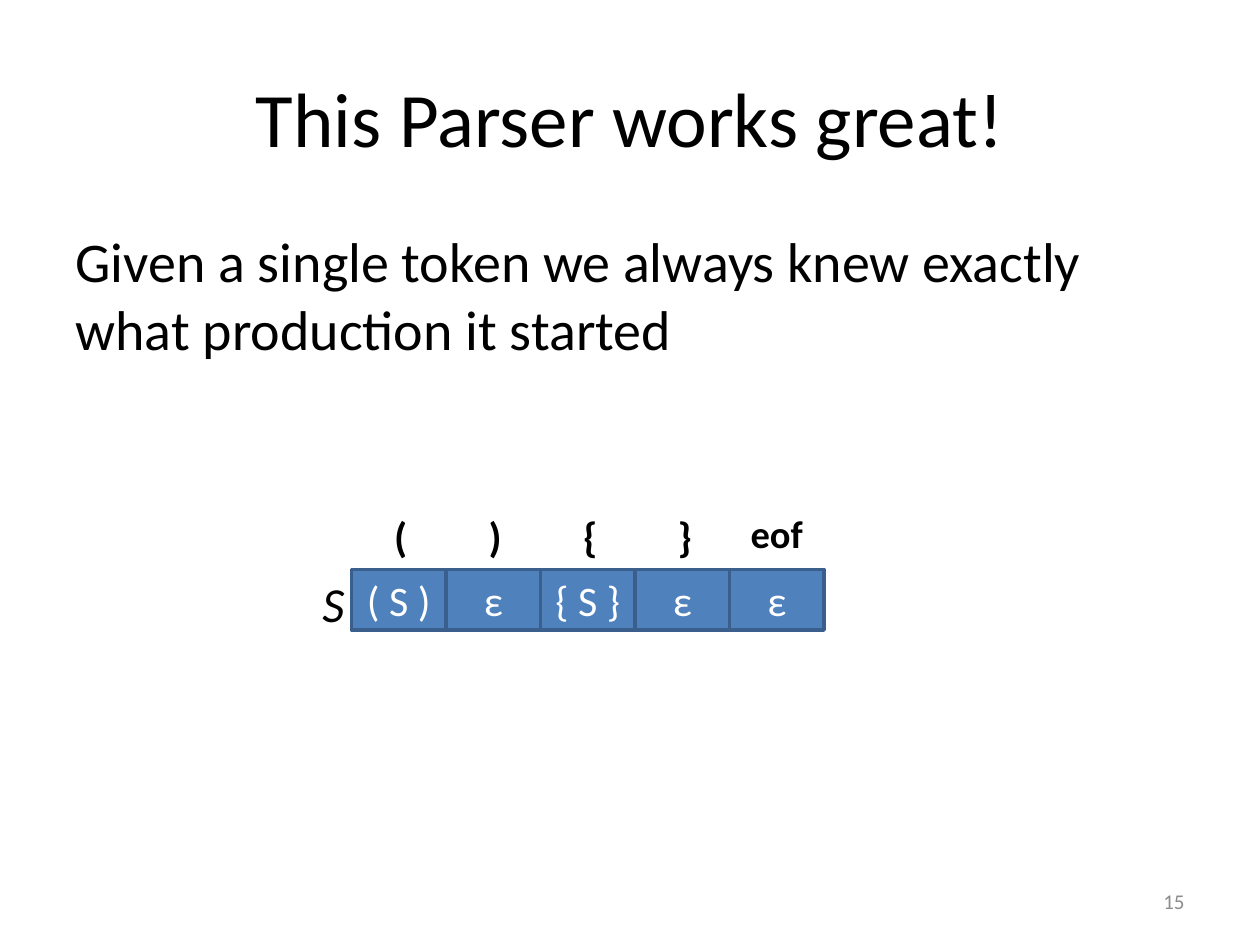
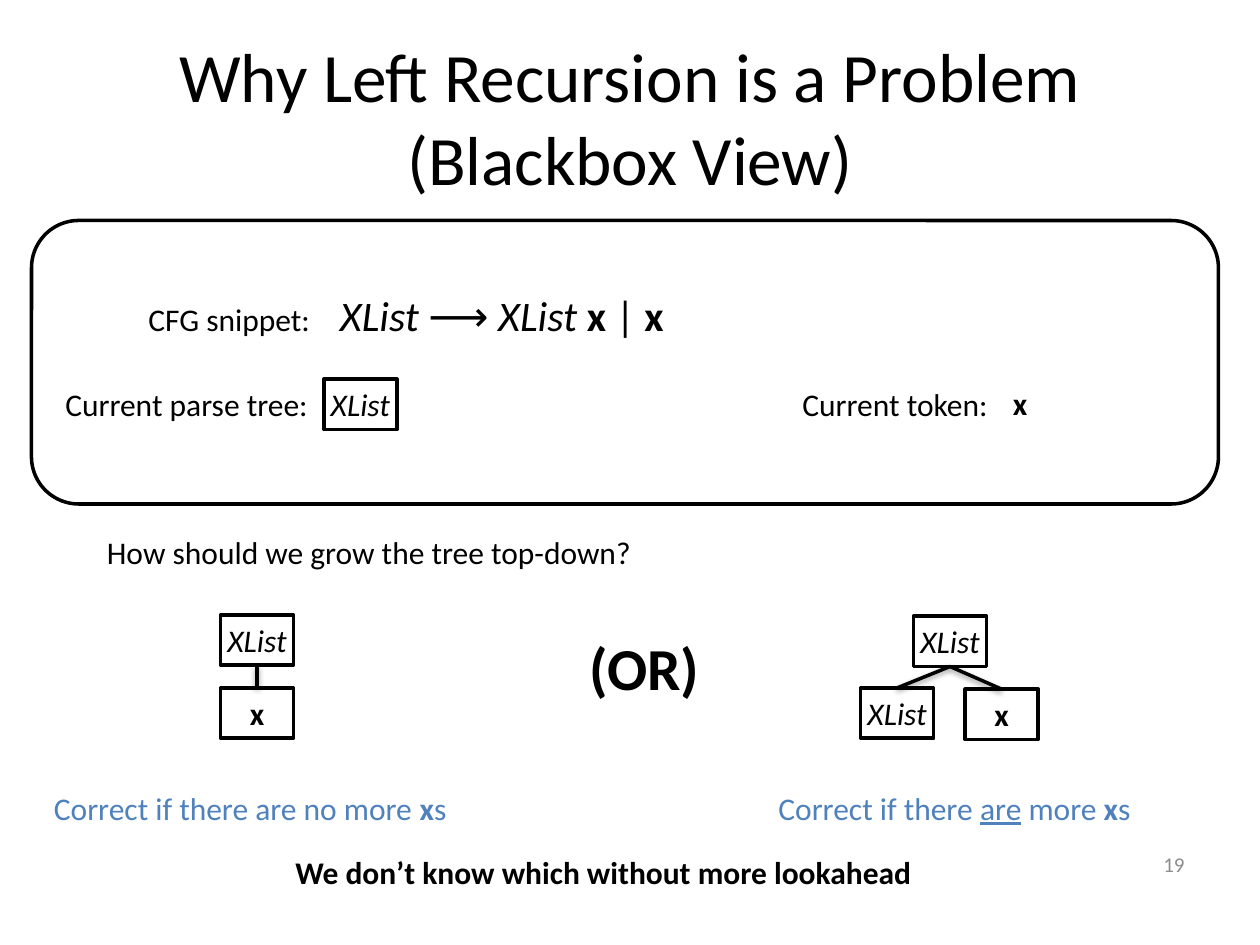
import pptx
import pptx.dml.color
import pptx.enum.shapes
import pptx.enum.text
import pptx.oxml
import pptx.util
from pptx.util import Inches

RGBColor = pptx.dml.color.RGBColor
BLACK = RGBColor(0x00, 0x00, 0x00)
WHITE = RGBColor(0xFF, 0xFF, 0xFF)
GREY = RGBColor(0x8C, 0x8C, 0x8C)
BLUE = RGBColor(0x4F, 0x81, 0xBD)
DARK_BLUE = RGBColor(0x3A, 0x5F, 0x8C)
FONT = "Calibri"

ALIGN = pptx.enum.text.PP_ALIGN
ANCHOR = pptx.enum.text.MSO_ANCHOR
AUTO_SIZE = pptx.enum.text.MSO_AUTO_SIZE
SHAPE = pptx.enum.shapes.MSO_SHAPE
STRAIGHT = pptx.enum.shapes.MSO_CONNECTOR.STRAIGHT
BOTTOM, TOP = 2, 0

WORKS_TITLE = ["This Parser works great!"]
WORKS_CLAIM = "Given a single token we always knew exactly what production it started"
WORKS_NUMBER = "15"
# token, its left edge, width, size, production
PARSE_TABLE = [
    ("(", 3.03, 0.31, 24, "( S )"),
    (")", 3.78, 0.31, 24, "ε"),
    ("{", 4.53, 0.32, 24, "{ S }"),
    ("}", 5.28, 0.32, 24, "ε"),
    ("eof", 5.86, 0.64, 22, "ε"),
]
TABLE_LEFT, TABLE_TOP, CELL_WIDTH, CELL_HEIGHT = 2.79, 4.52, 0.75, 0.48

RECURSION_TITLE = ["Why Left Recursion is a Problem", "(Blackbox View)"]
RECURSION_NUMBER = "19"
STATE_BOX = (0.25, 1.75, 9.42, 2.25)
GRAMMAR = [("XList ", "i"), ("⟶ ", ""), ("XList ", "i"), ("x ", "b"), ("| ", ""), ("x", "b")]
LABELS = [
    ((7.94, 3, 0.33, 0.4), [("x", "b")], 18, BLACK),
    ((0.75, 4.18, 4.42, 0.4), [("How should we grow the tree top-down?", "")], 18, BLACK),
    ((0.42, 3.01, 2.16, 0.4), [("Current parse tree:", "")], 18, BLACK),
    ((6.27, 3.01, 1.7, 0.4), [("Current token:", "")], 18, BLACK),
    ((1.08, 2.33, 1.5, 0.4), [("CFG snippet:", "")], 18, BLACK),
    ((4.58, 4.96, 1.09, 0.67), [("(OR)", "b")], 34, BLACK),
    ((0.33, 6.21, 3.36, 0.4),
     [("Correct if there are no more ", ""), ("x", "b"), ("s", "")], 18, BLUE),
    ((6.08, 6.21, 3.04, 0.4),
     [("Correct if there ", ""), ("are", "u"), (" more ", ""), ("x", "b"), ("s", "")], 18, BLUE),
]
CONCLUSION = [("We don’t know which without more lookahead", "b")]
NODE_STYLES = {"XList": "i", "x": "b"}
NODE_WIDTH, NODE_HEIGHT = 0.58, 0.4
# root position, then children as (symbol, left, top)
TREES = [
    ((2.57, 3.01), []),
    ((1.75, 4.88), [("x", 1.75, 5.46)]),
    ((7.25, 4.89), [("x", 7.66, 5.47), ("XList", 6.83, 5.46)]),
]
EDGE_SHADOW = (
    '<a:effectLst xmlns:a="http://schemas.openxmlformats.org/drawingml/2006/main">'
    '<a:outerShdw blurRad="40000" dist="20000" dir="5400000" rotWithShape="0">'
    '<a:srgbClr val="000000"><a:alpha val="38000"/></a:srgbClr>'
    '</a:outerShdw></a:effectLst>'
)


def place(part, box):
    part.left, part.top, part.width, part.height = map(Inches, box)


def write(paragraph, pieces, size, color, align=ALIGN.LEFT):
    paragraph.alignment = align
    for words, style in pieces:
        run = paragraph.add_run()
        run.text = words
        font = run.font
        font.name, font.size, font.color.rgb = FONT, pptx.util.Pt(size), color
        font.bold, font.italic, font.underline = "b" in style, "i" in style, "u" in style


def add_label(slide, box, pieces, size, color, align=ALIGN.LEFT, wrap=False,
              anchor=ANCHOR.TOP, fit=AUTO_SIZE.SHAPE_TO_FIT_TEXT):
    frame = slide.shapes.add_textbox(*map(Inches, box)).text_frame
    frame.word_wrap, frame.auto_size, frame.vertical_anchor = wrap, fit, anchor
    write(frame.paragraphs[0], pieces, size, color, align)


def add_box(slide, kind, box, fill, line):
    shape = slide.shapes.add_shape(kind, *map(Inches, box))
    shape.shadow.inherit = False
    shape.fill.solid()
    shape.fill.fore_color.rgb = fill
    shape.line.color.rgb = line
    shape.line.width = pptx.util.Pt(2)
    return shape


def add_node(slide, symbol, left, top):
    node = add_box(slide, SHAPE.RECTANGLE, (left, top, NODE_WIDTH, NODE_HEIGHT), WHITE, BLACK)
    frame = node.text_frame
    frame.word_wrap, frame.vertical_anchor = False, ANCHOR.TOP
    frame.margin_left = frame.margin_right = Inches(0.05)
    write(frame.paragraphs[0], [(symbol, NODE_STYLES[symbol])], 18, BLACK, ALIGN.CENTER)
    return node


def add_edge(slide, parent, child):
    edge = slide.shapes.add_connector(STRAIGHT, 0, 0, 0, 0)
    edge.begin_connect(parent, BOTTOM)
    edge.end_connect(child, TOP)
    edge.line.color.rgb = BLACK
    edge.line.width = pptx.util.Pt(2)
    edge._element.spPr.append(pptx.oxml.parse_xml(EDGE_SHADOW))


def add_slide(deck, layout, title_lines, title_size, number, number_top):
    slide = deck.slides.add_slide(deck.slide_layouts[layout])
    title = slide.shapes.title
    place(title, (0.5, 0.3, 9, 1.25))
    frame = title.text_frame
    frame.auto_size, frame.vertical_anchor = AUTO_SIZE.NONE, ANCHOR.MIDDLE
    heading = frame.paragraphs[0]
    for index, words in enumerate(title_lines):
        if index:
            heading.add_line_break()
        write(heading, [(words, "")], title_size, BLACK, ALIGN.CENTER)
    add_label(slide, (7.17, number_top, 2.33, 0.4), [(number, "")], 12, GREY,
              ALIGN.RIGHT, True, ANCHOR.MIDDLE, AUTO_SIZE.NONE)
    return slide


def build_works_slide(deck):
    slide = add_slide(deck, 1, WORKS_TITLE, 44, WORKS_NUMBER, 6.95)
    claim = slide.placeholders[1]
    place(claim, (0.5, 1.75, 9, 4.95))
    paragraph = claim.text_frame.paragraphs[0]
    write(paragraph, [(WORKS_CLAIM, "")], 32, BLACK)
    properties = paragraph._p.get_or_add_pPr()
    properties.set("marL", "0")
    properties.set("indent", "0")
    properties.append(pptx.oxml.parse_xml(
        '<a:buNone xmlns:a="http://schemas.openxmlformats.org/drawingml/2006/main"/>'))

    for column, (token, left, width, size, production) in enumerate(PARSE_TABLE):
        cell_box = (TABLE_LEFT + column * CELL_WIDTH, TABLE_TOP, CELL_WIDTH, CELL_HEIGHT)
        cell = add_box(slide, SHAPE.RECTANGLE, cell_box, BLUE, DARK_BLUE)
        cell.text_frame.word_wrap = False
        write(cell.text_frame.paragraphs[0], [(production, "")], 24, WHITE, ALIGN.CENTER)
        add_label(slide, (left, 4, width, 0.5), [(token, "b")], size, BLACK)
    add_label(slide, (2.46, 4.5, 0.41, 0.57), [("S", "i")], 28, BLACK)


def build_recursion_slide(deck):
    slide = add_slide(deck, 5, RECURSION_TITLE, 39.6, RECURSION_NUMBER, 6.66)
    add_box(slide, SHAPE.ROUNDED_RECTANGLE, STATE_BOX, WHITE, BLACK)
    add_label(slide, (2.6, 2.25, 4, 0.5), GRAMMAR, 24, BLACK, wrap=True)
    for label in LABELS:
        add_label(slide, *label)
    add_label(slide, (2.04, 6.72, 5.5, 0.4), CONCLUSION, 18, BLACK, ALIGN.CENTER, True)
    for root_position, children in TREES:
        root = add_node(slide, "XList", *root_position)
        for child in children:
            add_edge(slide, root, add_node(slide, *child))


def main():
    deck = pptx.Presentation()
    deck.slide_width, deck.slide_height = Inches(10), Inches(7.5)
    build_works_slide(deck)
    build_recursion_slide(deck)
    deck.save("out.pptx")


if __name__ == "__main__":
    main()
